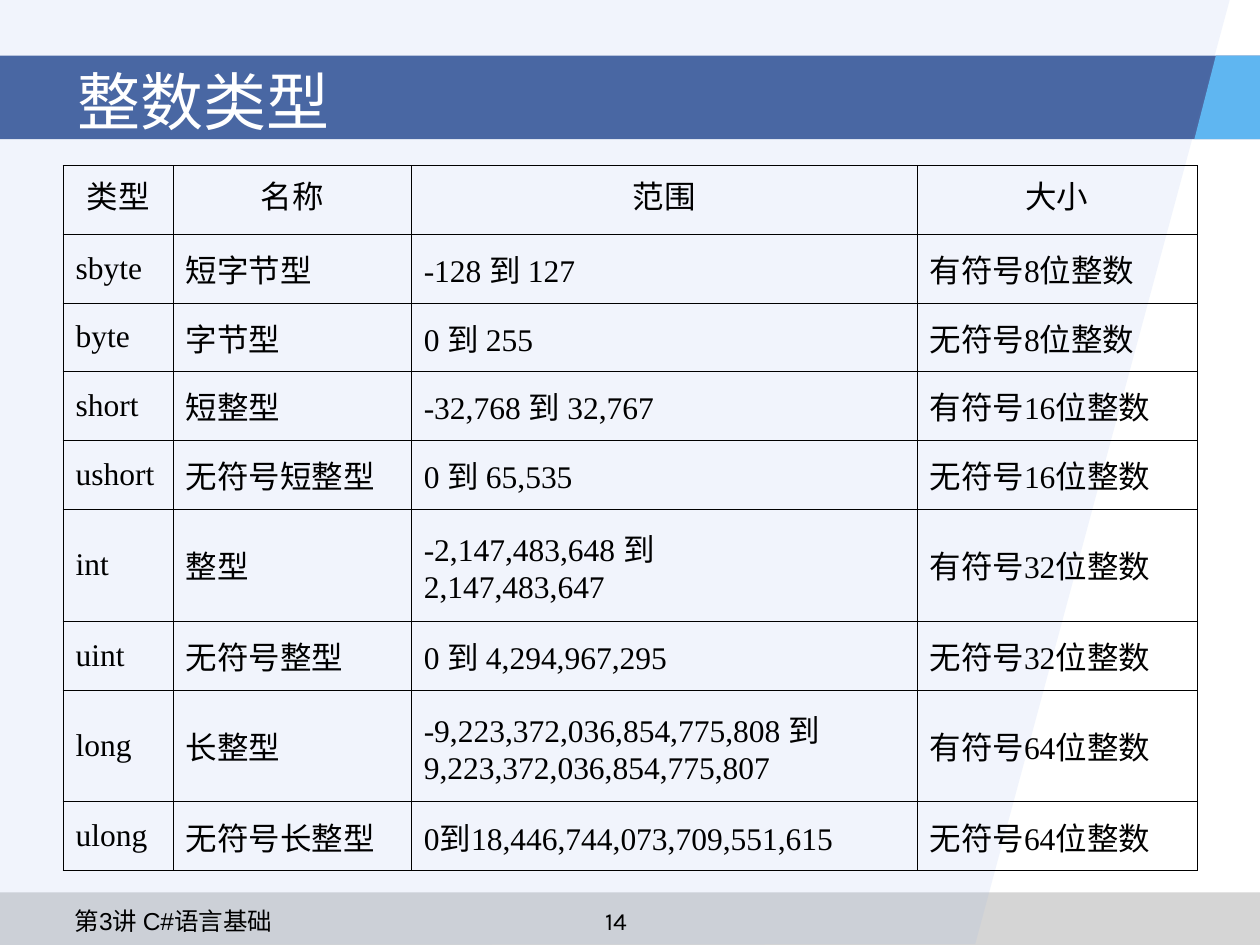
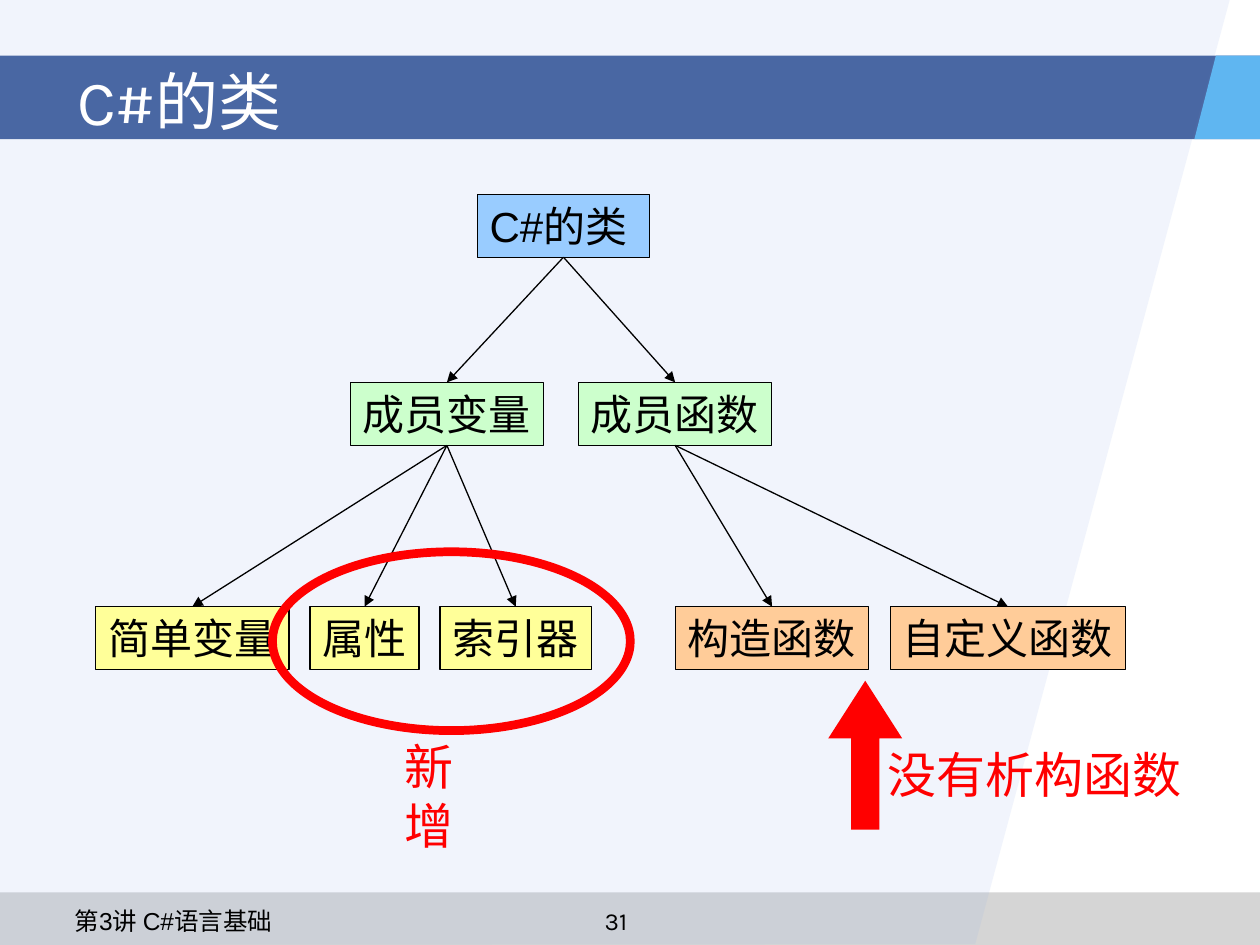
from pptx import Presentation
from pptx.dml.color import RGBColor
from pptx.enum.shapes import MSO_CONNECTOR, MSO_SHAPE
from pptx.enum.text import MSO_ANCHOR, MSO_AUTO_SIZE, PP_ALIGN
from pptx.oxml.ns import qn
from pptx.util import Pt
from lxml import etree

RECT, OVAL, ARROW = MSO_SHAPE.RECTANGLE, MSO_SHAPE.OVAL, MSO_SHAPE.UP_ARROW
STRAIGHT = MSO_CONNECTOR.STRAIGHT
LEFT, CENTER = PP_ALIGN.LEFT, PP_ALIGN.CENTER
TOP, MIDDLE = MSO_ANCHOR.TOP, MSO_ANCHOR.MIDDLE
FIXED = MSO_AUTO_SIZE.NONE

# Shared look
BLACK, WHITE, RED = "000000", "FFFFFF", "FF0000"
NAVY, SKY, PALE, GRAY = "173D89", "5FB6F1", "94B1EC", "969696"
BLUE, GREEN, YELLOW, ORANGE = "99CCFF", "CCFFCC", "FFFF99", "FFCC99"
HEAD, SANS, SERIF = "Karla", "Arial", "Times New Roman"
WIDE, HIGH = 720, 540
BAND_TOP, BAND_END, FOOT_TOP = 31.8, 79.5, 510
FOOTER = "第3讲 C#语言基础"

# Class tree
NODE_SIZE, NODE_HIGH, PAD = 24, 36, 14.4

# Integer table
COLS = [63, 136, 289, 160]
ROW, TALL = 39.3, 64
TYPES = [
    ("类型", "名称", "范围", "大小"),
    ("sbyte", "短字节型", "-128 到 127", "有符号8位整数"),
    ("byte", "字节型", "0 到 255", "无符号8位整数"),
    ("short", "短整型", "-32,768 到 32,767", "有符号16位整数"),
    ("ushort", "无符号短整型", "0 到 65,535", "无符号16位整数"),
    ("int", "整型", "-2,147,483,648 到\n2,147,483,647", "有符号32位整数"),
    ("uint", "无符号整型", "0 到 4,294,967,295", "无符号32位整数"),
    ("long", "长整型",
     "-9,223,372,036,854,775,808 到\n9,223,372,036,854,775,807",
     "有符号64位整数"),
    ("ulong", "无符号长整型", "0到18,446,744,073,709,551,615",
     "无符号64位整数"),
]


def pts(*nums):
    return [Pt(n) for n in nums]


def tint(color, code):
    color.rgb = RGBColor.from_string(code)


def paint(shape, fill=None, line=None, width=0.75, alpha=None):
    """Set fill, outline and opacity in percent."""
    shape.shadow.inherit = False
    if fill:
        shape.fill.solid()
        tint(shape.fill.fore_color, fill)
    else:
        shape.fill.background()
    if alpha:
        code = shape.element.spPr.find(qn("a:solidFill"))[0]
        etree.SubElement(code, qn("a:alpha")).set("val", str(alpha * 1000))
    if line:
        tint(shape.line.color, line)
        shape.line.width = Pt(width)
    else:
        shape.line.fill.background()


def write(frame, text, size, font, color=BLACK, align=LEFT):
    frame.text = text
    for para in frame.paragraphs:
        para.alignment = align
        for run in para.runs:
            run.font.size = Pt(size)
            run.font.name = font
            tint(run.font.color, color)


def block(shapes, kind, box, **look):
    shape = shapes.add_shape(kind, *pts(*box))
    paint(shape, **look)
    return shape


def outline(shapes, points, **look):
    first, *rest = [pts(*p) for p in points]
    path = shapes.build_freeform(*first, scale=1.0)
    path.add_line_segments(rest, close=True)
    paint(path.convert_to_shape(), **look)


def label(shapes, box, text, size, font, color=BLACK, align=LEFT, wrap=False):
    frame = shapes.add_textbox(*pts(*box)).text_frame
    frame.word_wrap = wrap
    write(frame, text, size, font, color, align)


def node(shapes, left, top, width, text, fill):
    shape = block(shapes, RECT, (left, top, width, NODE_HIGH),
                  fill=fill, line=BLACK)
    frame = shape.text_frame
    frame.word_wrap = False
    frame.vertical_anchor = TOP
    write(frame, text, NODE_SIZE, SANS)
    return shape


def row(shapes, left, top, gap, fill, names):
    """Place nodes side by side, each as wide as its text."""
    nodes = []
    for name in names:
        width = len(name) * NODE_SIZE + PAD
        nodes.append(node(shapes, left, top, width, name, fill))
        left += width + gap
    return nodes


def link(shapes, parent, kids):
    for kid in kids:
        line = shapes.add_connector(STRAIGHT, 0, 0, 0, 0)
        line.begin_connect(parent, 2)
        line.end_connect(kid, 0)
        tint(line.line.color, BLACK)
        line.line.width = Pt(0.75)
        props = line.element.spPr
        tail = etree.SubElement(props.find(qn("a:ln")), qn("a:tailEnd"))
        tail.set("type", "triangle")
        etree.SubElement(props, qn("a:effectLst"))


def border(cell):
    props = cell._tc.get_or_add_tcPr()
    for side in ("lnL", "lnR", "lnT", "lnB"):
        line = etree.SubElement(props, qn("a:" + side), w=str(Pt(0.45)))
        fill = etree.SubElement(line, qn("a:solidFill"))
        etree.SubElement(fill, qn("a:srgbClr"), val=BLACK)


def grid(shapes, left, top, rows):
    highs = [TALL if any("\n" in t for t in r) else ROW for r in rows]
    table = shapes.add_table(len(rows), len(COLS),
                             *pts(left, top, sum(COLS), sum(highs))).table
    table.first_row = table.horz_banding = False
    for col, width in zip(table.columns, COLS):
        col.width = Pt(width)
    for r, (texts, high) in enumerate(zip(rows, highs)):
        table.rows[r].height = Pt(high)
        for c, text in enumerate(texts):
            cell = table.cell(r, c)
            border(cell)
            cell.fill.background()
            cell.vertical_anchor = MIDDLE if r else TOP
            write(cell.text_frame, text, 18, SERIF,
                  align=LEFT if r else CENTER)


def base(deck, title, page):
    """Add a slide with bands, footer, page number and title."""
    slide = deck.slides.add_slide(deck.slide_layouts[5])
    shapes = slide.shapes
    block(shapes, RECT, (0, FOOT_TOP, WIDE, HIGH - FOOT_TOP),
          fill=GRAY, alpha=40)
    outline(shapes, [(0, 0), (702.7, 0), (557.3, 539.5), (0, HIGH)],
            fill=PALE, alpha=13)
    block(shapes, RECT, (0, BAND_TOP, WIDE, BAND_END - BAND_TOP),
          fill=NAVY, alpha=77)
    outline(shapes, [(694.8, BAND_TOP), (682.5, BAND_END),
                     (WIDE, BAND_END), (WIDE, BAND_TOP)], fill=SKY)
    label(shapes, (304, 514, 96, 18), str(page), 14, HEAD,
          align=CENTER, wrap=True)
    label(shapes, (35.5, 514, 256, 18), FOOTER, 14, SANS, wrap=True)

    head = shapes.title
    head.left, head.top, head.width, head.height = pts(37, 26, 648, 62.5)
    frame = head.text_frame
    frame.auto_size = FIXED
    frame.vertical_anchor = MIDDLE
    write(frame, title, 36, HEAD, WHITE)
    head.element.getparent().append(head.element)  # in front of the band
    return shapes


def type_slide(deck):
    shapes = base(deck, "整数类型", 14)
    grid(shapes, 36, 94.5, TYPES)


def class_slide(deck):
    shapes = base(deck, "C#的类", 31)

    # Tree from the class down to its members
    root = node(shapes, 272.7, 111, 98.6, "C#的类", BLUE)
    parts = row(shapes, 200.2, 218.5, 20, GREEN, ["成员变量", "成员函数"])
    funcs = row(shapes, 386, 346.7, 12.4, ORANGE, ["构造函数", "自定义函数"])
    data = row(shapes, 54.7, 346.7, 12, YELLOW, ["简单变量", "属性", "索引器"])
    link(shapes, root, parts)
    link(shapes, parts[0], data)
    link(shapes, parts[1], funcs)

    # Ring around the new members
    ring = shapes.add_group_shape().shapes
    block(ring, OVAL, (155.7, 315.3, 204.5, 102.2), line=RED, width=5)
    label(ring, (224, 417.6, 70, 41), "新增", 28, SANS, RED)

    # Arrow with a remark on destructors
    note = shapes.add_group_shape().shapes
    arrow = block(note, ARROW, (473.3, 389, 42.3, 85), fill=RED)
    arrow.adjustments[0] = 0.38
    arrow.adjustments[1] = 0.78
    label(note, (500.2, 422, 182.4, 41), "没有析构函数", 28, SANS, RED)


def main():
    deck = Presentation()
    deck.slide_width, deck.slide_height = pts(WIDE, HIGH)
    type_slide(deck)
    class_slide(deck)
    deck.save("out.pptx")


if __name__ == "__main__":
    main()
